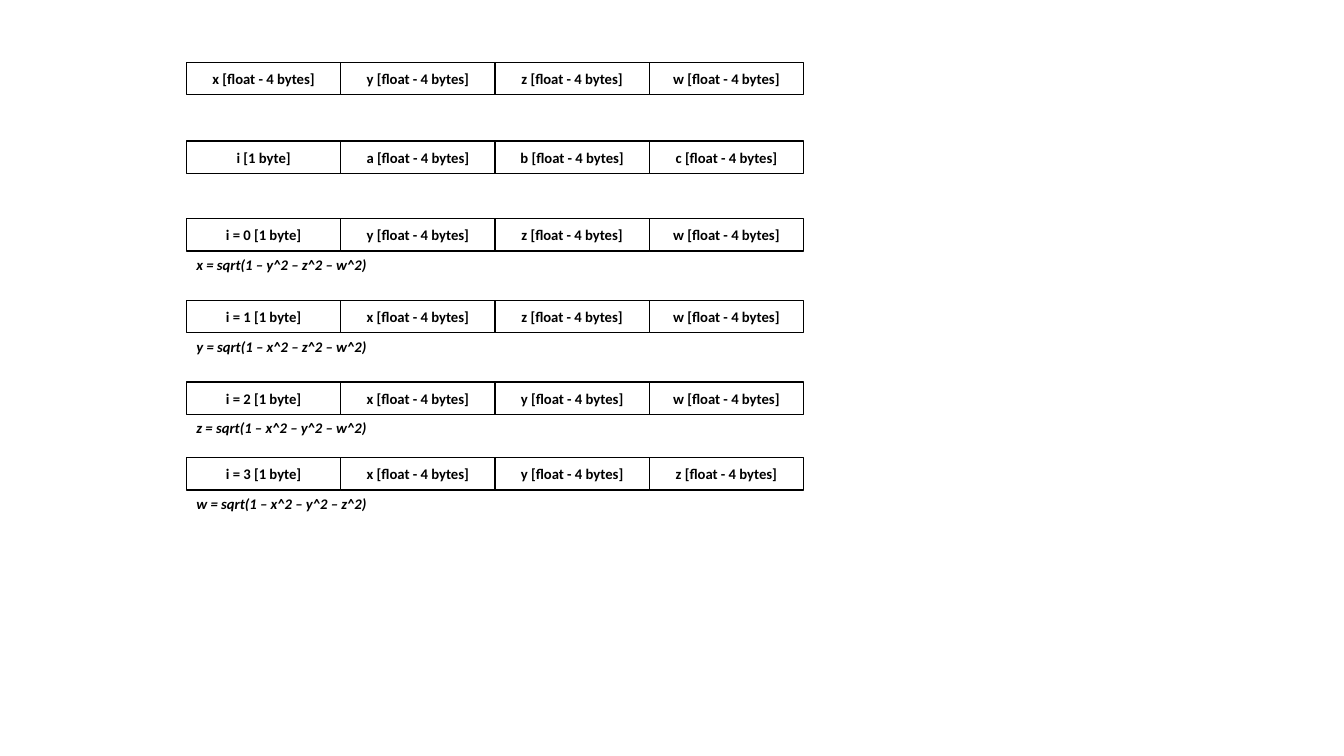
from pptx import Presentation
from pptx.dml.color import RGBColor
from pptx.enum.shapes import MSO_SHAPE
from pptx.enum.text import MSO_ANCHOR, MSO_AUTO_SIZE, PP_ALIGN
from pptx.util import Emu, Pt

RECTANGLE = MSO_SHAPE.RECTANGLE
MIDDLE = MSO_ANCHOR.MIDDLE
GROW = MSO_AUTO_SIZE.SHAPE_TO_FIT_TEXT
CENTER, LEFT = PP_ALIGN.CENTER, PP_ALIGN.LEFT

EMU_PER_PX = 9144
BLANK_LAYOUT = 6
BLACK, WHITE = "000000", "FFFFFF"
ROW_LEFT = 185
CELL_WIDTH, CELL_HEIGHT = 153, 32
FORMULA_WIDTH, FORMULA_HEIGHT = 193, 28
COMPONENTS = "xyzw"
FULL_TOP, REDUCED_TOP = 62, 140
CASE_TOPS = (217, 298, 379, 454)


def px(length):
    return Emu(length * EMU_PER_PX)


def color(value):
    return RGBColor.from_string(value)


def write(frame, text, alignment, italic=False):
    paragraph = frame.paragraphs[0]
    paragraph.alignment = alignment
    run = paragraph.add_run()
    run.text = text
    style = {"name": "Calibri", "size": Pt(10.5), "bold": True, "italic": italic}
    for attribute, value in style.items():
        setattr(run.font, attribute, value)
    run.font.color.rgb = color(BLACK)


def add_cell(slide, left, top, label):
    cell = slide.shapes.add_shape(
        RECTANGLE, px(left), px(top), px(CELL_WIDTH), px(CELL_HEIGHT))
    cell.shadow.inherit = False
    cell.fill.solid()
    cell.fill.fore_color.rgb = color(WHITE)
    cell.line.color.rgb = color(BLACK)
    cell.line.width = Pt(1)
    cell.text_frame.vertical_anchor = MIDDLE
    write(cell.text_frame, label, CENTER)


def add_row(slide, top, labels):
    for column, label in enumerate(labels):
        add_cell(slide, ROW_LEFT + column * CELL_WIDTH, top, label)


def add_formula(slide, top, text):
    formula = slide.shapes.add_textbox(
        px(ROW_LEFT), px(top), px(FORMULA_WIDTH), px(FORMULA_HEIGHT))
    formula.text_frame.word_wrap = False
    formula.text_frame.auto_size = GROW
    write(formula.text_frame, text, LEFT, italic=True)


def float_labels(names):
    return [f"{name} [float - 4 bytes]" for name in names]


def add_case(slide, index, top):
    omitted = COMPONENTS[index]
    stored = COMPONENTS.replace(omitted, "")
    add_row(slide, top, [f"i = {index} [1 byte]", *float_labels(stored)])
    squares = " – ".join(f"{name}^2" for name in stored)
    add_formula(slide, top + CELL_HEIGHT, f"{omitted} = sqrt(1 – {squares})")


def main():
    presentation = Presentation()
    presentation.slide_width = px(1333)
    presentation.slide_height = px(750)
    slide = presentation.slides.add_slide(presentation.slide_layouts[BLANK_LAYOUT])

    add_row(slide, FULL_TOP, float_labels(COMPONENTS))
    add_row(slide, REDUCED_TOP, ["i [1 byte]", *float_labels("abc")])
    for index, top in enumerate(CASE_TOPS):
        add_case(slide, index, top)

    presentation.save("out.pptx")


if __name__ == "__main__":
    main()
